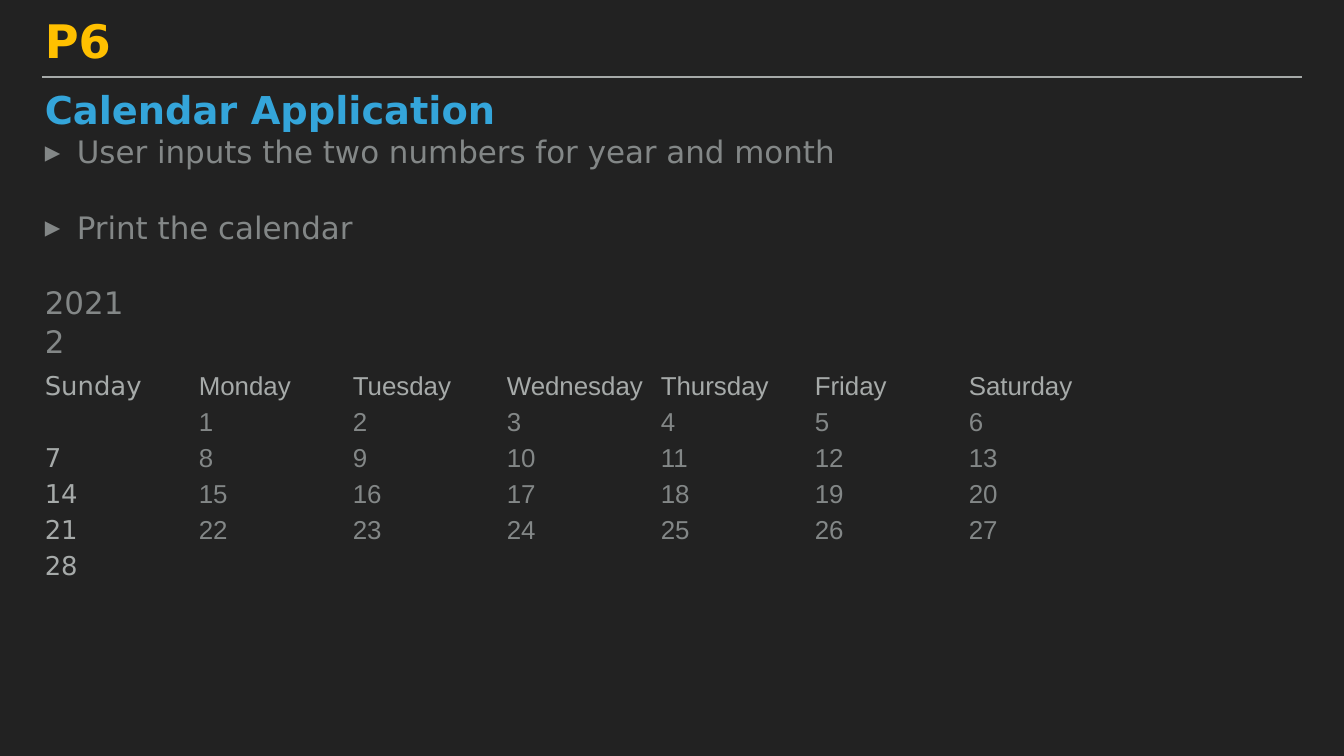
from lxml import etree
from pptx import Presentation
from pptx.dml.color import RGBColor
from pptx.enum.shapes import MSO_CONNECTOR
from pptx.enum.text import MSO_ANCHOR, MSO_AUTO_SIZE, PP_ALIGN
from pptx.oxml.ns import qn
from pptx.util import Pt

STRAIGHT = MSO_CONNECTOR.STRAIGHT
TOP, MIDDLE, BOTTOM = MSO_ANCHOR.TOP, MSO_ANCHOR.MIDDLE, MSO_ANCHOR.BOTTOM
LEFT = PP_ALIGN.LEFT
NO_AUTOFIT = MSO_AUTO_SIZE.NONE

EMU_PER_PX = 914400 / 50.4
INSET = Pt(4)
SANS, ARIAL = "DejaVu Sans", "Arial"
PLAIN_TABLE_STYLE = "{2D5ABB26-0587-4C30-8999-92F81FD0307C}"
COLORS = {
    "background": "222222",
    "title": "FFC000",
    "heading": "34A5DA",
    "body": "838787",
    "light": "A6AAA9",
}

DAYS = ["Sunday", "Monday", "Tuesday", "Wednesday", "Thursday", "Friday", "Saturday"]
DAYS_IN_MONTH = 28
WEEK_ROWS = 6
# text, bulleted, space before in points
BODY_LINES = [
    ("User inputs the two numbers for year and month", True, 0),
    ("Print the calendar", True, 55),
    ("2021", False, 55),
    ("2", False, 1.5),
]


def px(length):
    return round(length * EMU_PER_PX)


def color(name):
    return RGBColor.from_string(COLORS[name])


def place(shape, box):
    shape.left, shape.top, shape.width, shape.height = map(px, box)


def prepare_frame(frame, anchor=TOP):
    frame.word_wrap = True
    frame.auto_size = NO_AUTOFIT
    frame.vertical_anchor = anchor
    frame.margin_left = frame.margin_right = INSET
    frame.margin_top = frame.margin_bottom = INSET


def write(para, text, size, fill, font=SANS, bold=False, spacing=1.0, before=0):
    para.alignment = LEFT
    para.line_spacing = spacing
    para.space_before = Pt(before)
    span = para.add_run()
    span.text = text
    span.font.name = font
    span.font.size = Pt(size)
    span.font.bold = bold
    span.font.color.rgb = color(fill)


def set_bullet(para, bulleted, indent=32):
    props = para._p.get_or_add_pPr()
    if not bulleted:
        props.set("marL", "0")
        props.set("indent", "0")
        etree.SubElement(props, qn("a:buNone"))
        return
    props.set("marL", str(px(indent)))
    props.set("indent", str(-px(indent)))
    bullet_color = etree.SubElement(props, qn("a:buClr"))
    etree.SubElement(bullet_color, qn("a:srgbClr"), val=COLORS["body"])
    etree.SubElement(props, qn("a:buFont"), typeface=SANS)
    etree.SubElement(props, qn("a:buChar"), char="▸")


def add_title(page, box):
    """Title with the rule beneath it; the box ends on the rule."""
    left, top, width, height = box
    title = page.shapes.title
    place(title, (left, top, width - 105, height - 7))
    prepare_frame(title.text_frame, BOTTOM)
    write(title.text_frame.paragraphs[0], "P6", size=66, fill="title", bold=True, spacing=0.8)

    bottom = px(top + height)
    rule = page.shapes.add_connector(STRAIGHT, px(left), bottom, px(left + width), bottom)
    rule.line.color.rgb = color("light")
    rule.line.width = Pt(2)
    etree.SubElement(rule._element.spPr, qn("a:effectLst"))


def add_description(page, box):
    left, top, width, height = box
    heading_step = 38
    heading = page.shapes.add_textbox(*map(px, (left, top, width, 56)))
    prepare_frame(heading.text_frame)
    write(heading.text_frame.paragraphs[0], "Calendar Application",
          size=54.8, fill="heading", bold=True, spacing=0.8)

    body = page.placeholders[1]
    place(body, (left, top + heading_step, width, height - heading_step))
    frame = body.text_frame
    prepare_frame(frame)
    for index, (text, bulleted, before) in enumerate(BODY_LINES):
        para = frame.add_paragraph() if index else frame.paragraphs[0]
        write(para, text, size=44.2, fill="body", before=before)
        set_bullet(para, bulleted)


def add_calendar(page, box):
    holder = page.shapes.add_table(WEEK_ROWS + 1, len(DAYS), *map(px, box))
    table = holder.table
    table.first_row = table.horz_banding = False
    table._tbl.tblPr.find(qn("a:tableStyleId")).text = PLAIN_TABLE_STYLE
    for row in range(WEEK_ROWS + 1):
        for column, day_name in enumerate(DAYS):
            cell = table.cell(row, column)
            cell.fill.background()
            cell.vertical_anchor = MIDDLE
            cell.margin_left = cell.margin_right = INSET
            cell.margin_top = cell.margin_bottom = INSET
            day = 7 * (row - 1) + column
            if row and not 1 <= day <= DAYS_IN_MONTH:
                continue
            write(cell.text_frame.paragraphs[0], str(day) if row else day_name, size=37,
                  fill="body" if row and column else "light",
                  font=ARIAL if column else SANS)


def main():
    deck = Presentation()
    deck.slide_width, deck.slide_height = px(1344), px(756)
    page = deck.slides.add_slide(deck.slide_layouts[1])
    page.background.fill.solid()
    page.background.fill.fore_color.rgb = color("background")
    add_title(page, (42, 10, 1260, 67))
    add_description(page, (42, 92, 1260, 160))
    add_calendar(page, (42, 369, 154 * len(DAYS), 36 * (WEEK_ROWS + 1)))
    deck.save("out.pptx")


if __name__ == "__main__":
    main()
